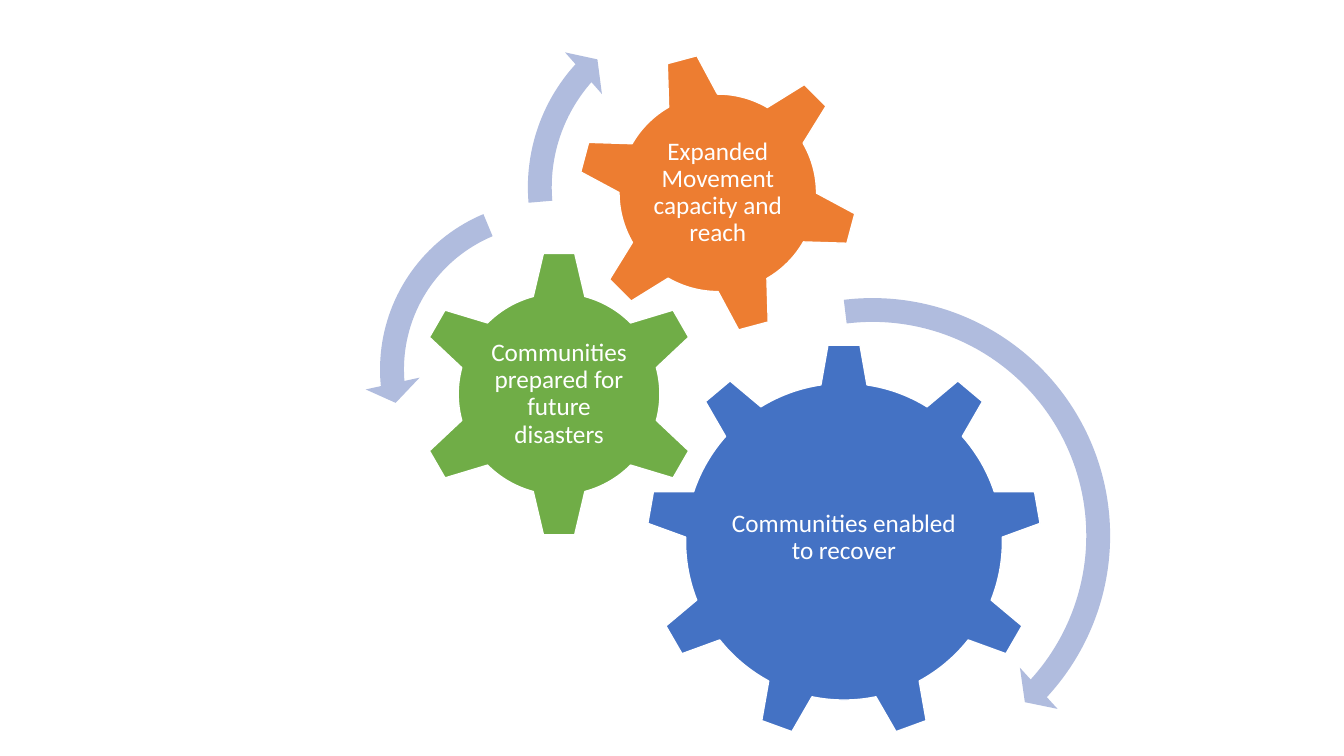
from dataclasses import dataclass
from pptx import Presentation
from pptx.dml.color import RGBColor
from pptx.enum.shapes import MSO_SHAPE
from pptx.enum.text import MSO_ANCHOR, PP_ALIGN
from pptx.util import Cm, Pt

NINE, SIX = MSO_SHAPE.GEAR_9, MSO_SHAPE.GEAR_6
RIGHT, LEFT = MSO_SHAPE.CIRCULAR_ARROW, MSO_SHAPE.LEFT_CIRCULAR_ARROW
MIDDLE, CENTER = MSO_ANCHOR.MIDDLE, PP_ALIGN.CENTER


@dataclass(frozen=True)
class Theme:
    blue: str = "4472C4"
    green: str = "70AD47"
    orange: str = "ED7D31"
    arrow: str = "B0BCDE"
    white: str = "FFFFFF"
    font: str = "Calibri"
    size: int = 18


theme = Theme()

gears = [
    dict(text="Communities enabled to recover", kind=NINE, fill=theme.blue,
         mid=(21.27, 13.65), size=9.98, box=(5.97, 5.13), lift=0.09, turn=0),
    dict(text="Communities prepared for future disasters", kind=SIX, fill=theme.green,
         mid=(14.09, 9.93), size=7.26, box=(3.61, 3.58), lift=0, turn=0),
    dict(text="Expanded Movement capacity and reach", kind=SIX, fill=theme.orange,
         mid=(18.09, 4.86), size=7.11, box=(3.99, 3.99), lift=0, turn=345),
]
arrows = [
    dict(kind=RIGHT, mid=(21.99, 13.5), size=12.78, width=4.7, head=5.5,
         tip=17.94, end=153.2, start=946.99),
    dict(kind=LEFT, mid=(13.82, 9.31), size=9.27, width=6.5, head=7.5,
         tip=25.8, end=629.35, start=890.27),
    dict(kind=RIGHT, mid=(17.91, 4.72), size=10.01, width=6, head=7,
         tip=23.65, end=798.83, start=630.49),
]


def style(part, values):
    for name, value in values.items():
        setattr(part, name, value)


def frame(mid, wide, high):
    x, y = mid
    return Cm(x - wide / 2), Cm(y - high / 2), Cm(wide), Cm(high)


def draw(shapes, item, fill):
    size = item["size"]
    shape = shapes.add_shape(item["kind"], *frame(item["mid"], size, size))
    shape.shadow.inherit = False
    shape.fill.solid()
    shape.fill.fore_color.rgb = RGBColor.from_string(fill)
    return shape


def add_gear(shapes, gear):
    shape = draw(shapes, gear, gear["fill"])
    shape.rotation = gear["turn"]
    shape.line.color.rgb = RGBColor.from_string(theme.white)
    shape.line.width = Pt(1)
    x, y = gear["mid"]
    label = shapes.add_textbox(*frame((x, y - gear["lift"]), *gear["box"]))
    body = label.text_frame
    pad = Cm(0.08)
    style(body, dict(word_wrap=True, vertical_anchor=MIDDLE, margin_left=pad,
                     margin_right=pad, margin_top=pad, margin_bottom=pad))
    para = body.paragraphs[0]
    style(para, dict(text=gear["text"], alignment=CENTER, line_spacing=0.9))
    font = para.runs[0].font
    style(font, dict(name=theme.font, size=Pt(theme.size)))
    font.color.rgb = RGBColor.from_string(theme.white)


def add_arrow(shapes, arrow):
    shape = draw(shapes, arrow, theme.arrow)
    shape.line.fill.background()
    shape.adjustments[0] = arrow["width"] / 100
    for spot, name in enumerate(("tip", "end", "start"), 1):
        shape.adjustments[spot] = arrow[name] / 6
    shape.adjustments[4] = arrow["head"] / 100


deck = Presentation()
style(deck, dict(slide_width=Cm(33.87), slide_height=Cm(19.05)))
slide = deck.slides.add_slide(deck.slide_layouts[6])
for gear in gears:
    add_gear(slide.shapes, gear)
for arrow in arrows:
    add_arrow(slide.shapes, arrow)
deck.save("out.pptx")
